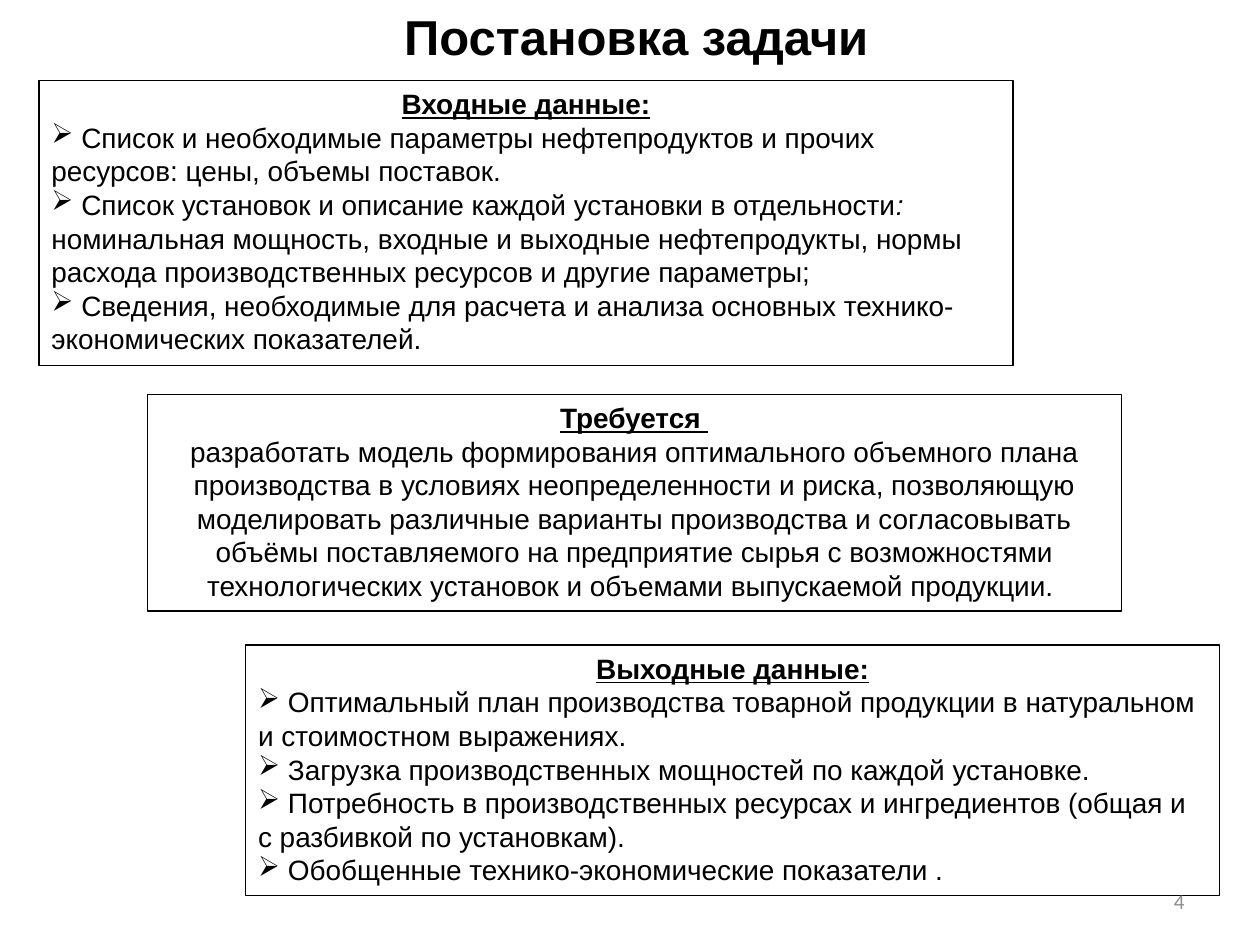
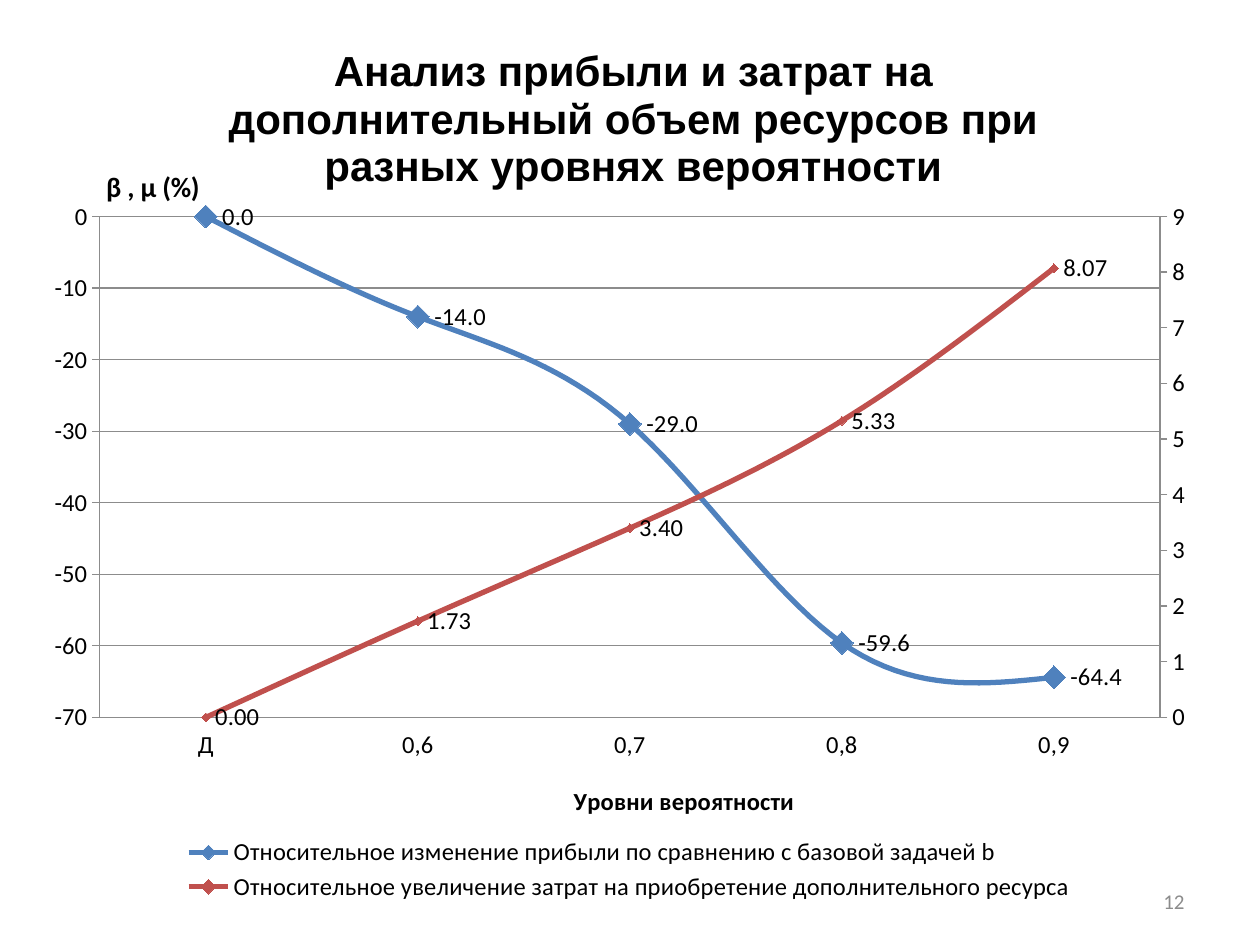
from copy import deepcopy

from lxml.etree import SubElement
from pptx import Presentation
from pptx.chart.axis import CategoryAxis, ValueAxis
from pptx.chart.data import CategoryChartData
from pptx.dml.color import RGBColor
from pptx.enum.chart import (XL_CHART_TYPE, XL_LABEL_POSITION, XL_LEGEND_POSITION,
                             XL_MARKER_STYLE, XL_TICK_LABEL_POSITION, XL_TICK_MARK)
from pptx.enum.shapes import MSO_SHAPE
from pptx.enum.text import MSO_ANCHOR, PP_ALIGN
from pptx.oxml import parse_xml
from pptx.oxml.ns import nsdecls, qn
from pptx.util import Inches, Pt

BLACK = RGBColor(0x00, 0x00, 0x00)
GRAY = RGBColor(0x8C, 0x8C, 0x8C)
BLUE = RGBColor(0x4F, 0x81, 0xBD)
RED = RGBColor(0xC0, 0x50, 0x4D)
HEADING_FONT = "Arial"
CHART_FONT = "Calibri"

INPUTS = [
    [("Список и необходимые параметры нефтепродуктов и прочих ресурсов: "
      "цены, объемы поставок.", False)],
    [("Список установок и описание каждой установки в отдельности", False),
     (":", True),
     (" номинальная мощность, входные и выходные нефтепродукты, нормы расхода "
      "производственных ресурсов и другие параметры;", False)],
    [("Сведения, необходимые для расчета и анализа основных "
      "технико-экономических показателей.", False)],
]
REQUIREMENT = (
    "разработать модель формирования оптимального объемного плана производства "
    "в условиях неопределенности и риска, позволяющую моделировать различные "
    "варианты производства и согласовывать объёмы поставляемого на предприятие "
    "сырья с возможностями технологических установок и объемами выпускаемой продукции. ")
OUTPUTS = [[(text, False)] for text in (
    "Оптимальный план производства товарной продукции в натуральном и стоимостном выражениях.",
    "Загрузка производственных мощностей по каждой установке.",
    "Потребность в производственных ресурсах и ингредиентов (общая и с разбивкой по установкам).",
    "Обобщенные технико-экономические показатели .",
)]

LEVELS = ["Д", "0,6", "0,7", "0,8", "0,9"]
# name, values, colour, marker size, label format
SERIES = [
    ("Относительное изменение прибыли по сравнению с базовой задачей b",
     [0, -14, -29, -59.6, -64.4], BLUE, 13, "0.0"),
    ("Относительное увеличение затрат на приобретение дополнительного ресурса",
     [0, 1.73, 3.4, 5.33, 8.07], RED, 5, "#,##0.00"),
]


def set_font(font, size, name=HEADING_FONT, color=BLACK, bold=False):
    font.size, font.name, font.bold = Pt(size), name, bold
    font.color.rgb = color


def set_layout(element, index, x, y, w=None, h=None):
    """Place a chart part by fractions of the chart; index is the layout's place among children."""
    for old in element.findall(qn("c:layout")):
        element.remove(old)
    layout = parse_xml(f"<c:layout {nsdecls('c')}/>")
    manual = SubElement(layout, qn("c:manualLayout"))
    if element.tag == qn("c:plotArea"):
        SubElement(manual, qn("c:layoutTarget"), val="inner")
    for mode in ("xMode", "yMode"):
        SubElement(manual, qn(f"c:{mode}"), val="edge")
    for key, value in (("x", x), ("y", y), ("w", w), ("h", h)):
        if value is not None:
            SubElement(manual, qn(f"c:{key}"), val=str(value))
    element.insert(index, layout)


def set_chart_title(title, text, size, x, y, font_name=CHART_FONT):
    run = title.text_frame.paragraphs[0].add_run()
    run.text = text
    set_font(run.font, size, font_name, bold=True)
    title.text_frame._txBody.bodyPr.set("rot", "0")
    set_layout(title._element, 1, x, y)


def set_scale(axis, low, high, unit):
    axis.minimum_scale, axis.maximum_scale, axis.major_unit = low, high, unit


def split_to_right_axis(chart):
    """Move the second series to its own line plot with a value axis on the right."""
    left_plot = chart.plots[0]._element
    right_plot = deepcopy(left_plot)
    left_plot.remove(left_plot.findall(qn("c:ser"))[1])
    right_plot.remove(right_plot.findall(qn("c:ser"))[0])
    left_plot.addnext(right_plot)

    left_value = chart.value_axis._element
    right_value = deepcopy(left_value)
    hidden_category = deepcopy(chart.category_axis._element)
    left_value.addnext(right_value)
    right_value.addnext(hidden_category)

    category_id, value_id = "5001", "5002"
    for element, own, other in ((hidden_category, category_id, value_id),
                                (right_value, value_id, category_id)):
        element.find(qn("c:axId")).set("val", own)
        element.find(qn("c:crossAx")).set("val", other)
    for reference, axis_id in zip(right_plot.findall(qn("c:axId")), (category_id, value_id)):
        reference.set("val", axis_id)
    right_value.find(qn("c:axPos")).set("val", "r")
    right_value.find(qn("c:crosses")).set("val", "max")
    CategoryAxis(hidden_category).visible = False
    right_axis = ValueAxis(right_value)
    right_axis.has_major_gridlines = False
    return right_axis


class Deck:
    def __init__(self):
        self.presentation = Presentation()
        self.presentation.slide_width = Inches(10)
        self.presentation.slide_height = Inches(7.5)
        self.slide = None

    def new_slide(self, number):
        self.slide = self.presentation.slides.add_slide(self.presentation.slide_layouts[6])
        self.number = number

    def text(self, text, left, top, width, height, size, align, **font):
        box = self.slide.shapes.add_textbox(
            Inches(left), Inches(top), Inches(width), Inches(height))
        frame = box.text_frame
        frame.word_wrap = True
        frame.vertical_anchor = MSO_ANCHOR.MIDDLE
        paragraph = frame.paragraphs[0]
        paragraph.alignment = align
        run = paragraph.add_run()
        run.text = text
        set_font(run.font, size, **font)

    def title(self, text):
        self.text(text, 0.55, 0, 9, 0.57, 28, PP_ALIGN.CENTER, bold=True)

    def page_number(self):
        self.text(str(self.number), 7.17, 6.95, 2.33, 0.4, 12, PP_ALIGN.RIGHT,
                  name=CHART_FONT, color=GRAY)

    def framed_box(self, heading, left, top, height):
        shape = self.slide.shapes.add_shape(
            MSO_SHAPE.RECTANGLE, Inches(left), Inches(top), Inches(7.73), Inches(height))
        shape.shadow.inherit = False
        shape.fill.background()
        shape.line.color.rgb = BLACK
        shape.line.width = Pt(0.75)
        frame = shape.text_frame
        frame.word_wrap = True
        frame.vertical_anchor = MSO_ANCHOR.TOP
        paragraph = frame.paragraphs[0]
        paragraph.alignment = PP_ALIGN.CENTER
        run = paragraph.add_run()
        run.text = heading
        set_font(run.font, 16, bold=True)
        run.font.underline = True
        return frame

    def body(self, frame, parts, align=PP_ALIGN.LEFT):
        """Add a paragraph from (text, italic) parts."""
        paragraph = frame.add_paragraph()
        paragraph.alignment = align
        for text, italic in parts:
            run = paragraph.add_run()
            run.text = text
            set_font(run.font, 16)
            run.font.italic = italic
        return paragraph

    def bullets(self, frame, items):
        for parts in items:
            paragraph = self.body(frame, [(" ", False)] + parts)
            properties = paragraph._p.get_or_add_pPr()
            properties.set("marL", "0")
            properties.set("indent", "0")
            SubElement(properties, qn("a:buChar"), char="➢")

    def profit_cost_chart(self):
        data = CategoryChartData()
        data.categories = LEVELS
        for name, values, *_ in SERIES:
            data.add_series(name, values)
        chart = self.slide.shapes.add_chart(
            XL_CHART_TYPE.LINE_MARKERS, Inches(0.23), Inches(0), Inches(9.53), Inches(7.19),
            data).chart
        set_font(chart.font, 14, CHART_FONT)

        for series, (_, _, color, marker_size, label_format) in zip(chart.plots[0].series, SERIES):
            self.style_series(series, color, marker_size, label_format)

        category_axis, value_axis = chart.category_axis, chart.value_axis
        for axis in (category_axis, value_axis):
            axis.format.line.color.rgb = GRAY
        category_axis.tick_label_position = XL_TICK_LABEL_POSITION.LOW
        category_axis.major_tick_mark = XL_TICK_MARK.NONE
        value_axis.major_tick_mark = XL_TICK_MARK.OUTSIDE
        value_axis.has_major_gridlines = True
        value_axis.major_gridlines.format.line.color.rgb = GRAY
        value_axis.tick_labels.number_format = "General"
        value_axis.tick_labels.number_format_is_linked = False

        set_scale(split_to_right_axis(chart), 0, 9, 1)
        set_scale(value_axis, -70, 0, 10)

        chart.has_title = True
        set_chart_title(
            chart.chart_title,
            "Анализ прибыли и затрат на дополнительный объем ресурсов при разных уровнях вероятности",
            24, 0.16, 0.04, HEADING_FONT)
        set_chart_title(category_axis.axis_title, "Уровни вероятности", 14, 0.45, 0.86)
        set_chart_title(value_axis.axis_title, "β , μ (%)", 16, 0.06, 0.18)
        chart.has_legend = True
        chart.legend.position = XL_LEGEND_POSITION.BOTTOM
        chart.legend.include_in_layout = False
        set_layout(chart.legend._element, 1, 0.13, 0.92, 0.74, 0.08)
        set_layout(value_axis._element.getparent(), 0, 0.059, 0.239, 0.883, 0.553)

    def style_series(self, series, color, marker_size, label_format):
        series.smooth = True
        series.format.line.color.rgb = color
        series.format.line.width = Pt(3)
        marker = series.marker
        marker.style = XL_MARKER_STYLE.DIAMOND
        marker.size = marker_size
        marker.format.fill.solid()
        marker.format.fill.fore_color.rgb = color
        marker.format.line.color.rgb = color
        labels = series.data_labels
        labels.show_value = True
        labels.position = XL_LABEL_POSITION.RIGHT
        labels.number_format = label_format
        labels.number_format_is_linked = False


def main():
    deck = Deck()

    deck.new_slide(4)
    deck.title("Постановка задачи")
    requirement = deck.framed_box("Требуется ", 1.17, 3.13, 1.72)
    deck.body(requirement, [(REQUIREMENT, False)], PP_ALIGN.CENTER)
    deck.bullets(deck.framed_box("Входные данные:", 0.31, 0.64, 2.26), INPUTS)
    deck.bullets(deck.framed_box("Выходные данные:", 1.95, 5.12, 1.99), OUTPUTS)
    deck.page_number()

    deck.new_slide(12)
    deck.profit_cost_chart()
    deck.page_number()

    deck.presentation.save("out.pptx")


if __name__ == "__main__":
    main()
